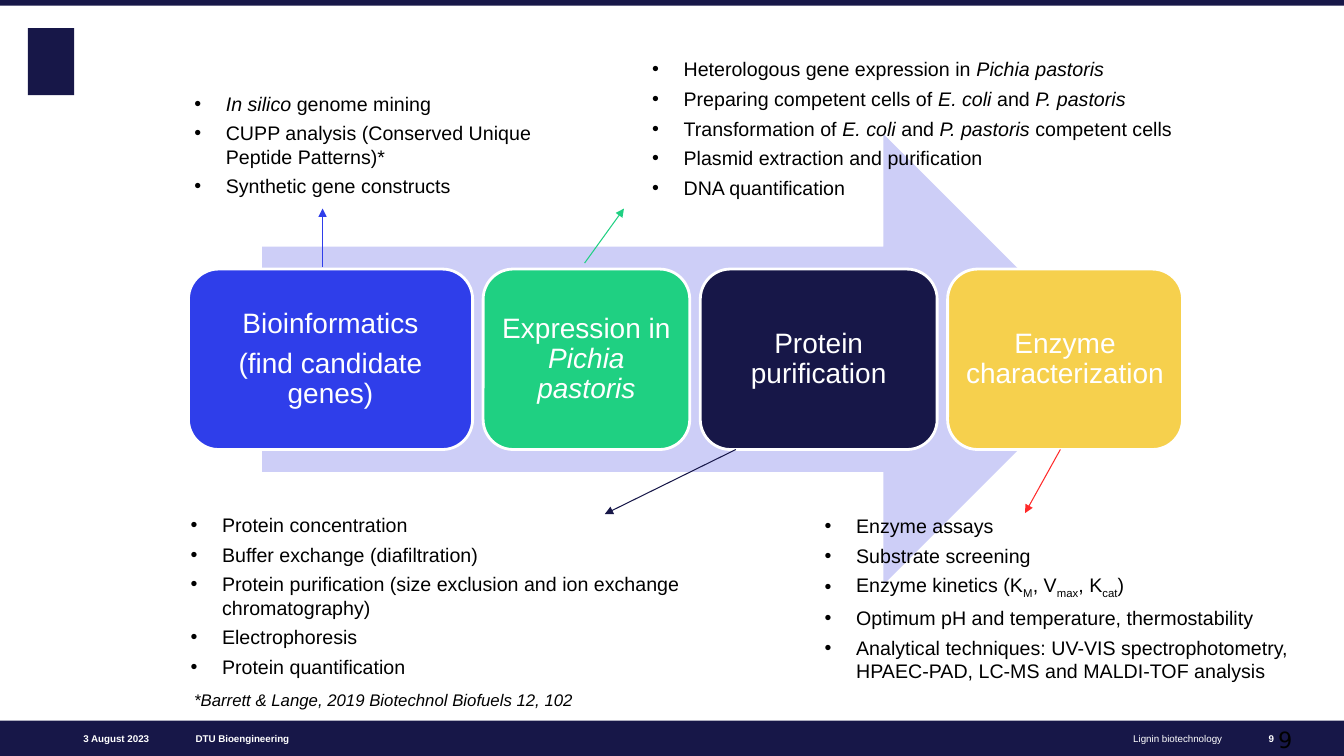
from lxml import etree
from pptx import Presentation
from pptx.dml.color import RGBColor
from pptx.enum import shapes, text
from pptx.oxml import ns
from pptx.util import Pt

NAVY, BLUE, GREEN, YELLOW = "171748", "2F3EEA", "1FD082", "F6D04D"
LEFT, CENTER, RIGHT = text.PP_ALIGN.LEFT, text.PP_ALIGN.CENTER, text.PP_ALIGN.RIGHT


def paint(fmt, color):
    if hasattr(fmt, "solid"):
        fmt.solid()
        fmt = fmt.fore_color
    elif hasattr(fmt, "color"):
        fmt = fmt.color
    fmt.rgb = RGBColor.from_string(color)


def write(p, content, size, color, font="Arial", bold=False, accent="italic"):
    for i, part in enumerate(content.split("|")):
        if not part:
            continue
        r = p.add_run()
        r.text = part
        r.font.name, r.font.size, r.font.bold = font, Pt(size), bold
        paint(r.font, color)
        if i % 2 and accent == "italic":
            r.font.italic = True
        elif i % 2:
            r.font._element.set("baseline", "-25000")


prs = Presentation()
prs.slide_width, prs.slide_height = Pt(960), Pt(540)
s = prs.slides.add_slide(prs.slide_layouts.get_by_name("Comparison"))
title = s.shapes.title._element
title.getparent().remove(title)

blocks = [
    ("RECTANGLE", 20, 20, 33, 48, NAVY),
    ("RECTANGLE", 0, 514.8, 960, 25.2, NAVY),
    ("RECTANGLE", 0, 0, 960, 4, NAVY),
    ("RIGHT_ARROW", 187.2, 95.8, 604.8, 321.8, "CDCEF7"),
]
for kind, x, y, w, h, color in blocks:
    sp = s.shapes.add_shape(shapes.MSO_SHAPE[kind], Pt(x), Pt(y), Pt(w), Pt(h))
    sp.shadow.inherit = False
    paint(sp.fill, color)
    sp.line.fill.background()

labels = [
    ("3 August 2023", 19.4, 514.8, 87.1, 25.2, RIGHT, 7, "FFFFFF", "Arial", True),
    ("DTU Bioengineering", 139.7, 514.8, 267.8, 25.2, LEFT, 7, "FFFFFF", "Arial", True),
    ("Lignin biotechnology", 440, 514.8, 432.9, 25.2, RIGHT, 7, "FFFFFF", "Arial", False),
    ("9", 880, 514.8, 30, 25.2, RIGHT, 7, "FFFFFF", "Arial", True),
    ("9", 913, 518.4, 26, 20, LEFT, 16, "000000", "DejaVu Sans", False),
    ("|*Barrett & Lange, 2019 Biotechnol Biofuels 12, 102", 138.6, 492.8, 290, 14.4,
     LEFT, 12, "000000", "Arial", False),
]
for content, x, y, w, h, align, size, color, font, bold in labels:
    tf = s.shapes.add_textbox(Pt(x), Pt(y), Pt(w), Pt(h)).text_frame
    tf.word_wrap = True
    tf.margin_left = tf.margin_right = tf.margin_top = tf.margin_bottom = 0
    tf.vertical_anchor = text.MSO_ANCHOR.MIDDLE if size == 7 else text.MSO_ANCHOR.TOP
    p = tf.paragraphs[0]
    p.alignment = align
    write(p, content, size, color, font, bold)

steps = [
    (203, BLUE, ["Bioinformatics", "(find candidate genes)"]),
    (147.6, GREEN, ["Expression in |Pichia pastoris"]),
    (169.2, NAVY, ["Protein purification"]),
    (167.8, YELLOW, ["Enzyme characterization"]),
]
x = 134.6
for w, color, lines in steps:
    sp = s.shapes.add_shape(shapes.MSO_SHAPE.ROUNDED_RECTANGLE, Pt(x), Pt(192.2), Pt(w), Pt(128.9))
    sp.shadow.inherit = False
    paint(sp.fill, color)
    paint(sp.line, "FFFFFF")
    sp.line.width = Pt(2)
    tf = sp.text_frame
    tf.word_wrap = True
    tf.vertical_anchor = text.MSO_ANCHOR.MIDDLE
    tf.margin_left = tf.margin_right = tf.margin_top = tf.margin_bottom = Pt(5.5)
    for i, line in enumerate(lines):
        p = tf.add_paragraph() if i else tf.paragraphs[0]
        p.alignment, p.line_spacing, p.space_after = CENTER, 0.9, Pt(7)
        write(p, line, 20, "FFFFFF")
    x += w + 7.5

lists = [
    (138.8, 65.5, 262, 75.6, "italic", [
        "|In silico |genome mining",
        "CUPP analysis (Conserved Unique Peptide Patterns)*",
        "Synthetic gene constructs"]),
    (465.8, 41, 398.2, 100.8, "italic", [
        "Heterologous gene expression in |Pichia pastoris",
        "Preparing competent cells of |E. coli |and |P. pastoris",
        "Transformation of |E. coli |and |P. pastoris |competent cells",
        "Plasmid extraction and purification",
        "DNA quantification"]),
    (136.1, 366.5, 354.2, 118, "italic", [
        "Protein concentration",
        "Buffer exchange (diafiltration)",
        "Protein purification (size exclusion and ion exchange chromatography)",
        "Electrophoresis",
        "Protein quantification"]),
    (589, 367.2, 337.7, 118, "subscript", [
        "Enzyme assays",
        "Substrate screening",
        "Enzyme kinetics (K|M|, V|max|, K|cat|)",
        "Optimum pH and temperature, thermostability",
        "Analytical techniques: UV-VIS spectrophotometry, HPAEC-PAD, LC-MS and MALDI-TOF analysis"]),
]
for sp, (x, y, w, h, accent, items) in zip(list(s.placeholders), lists):
    s.shapes._spTree.append(sp._element)
    sp.left, sp.top, sp.width, sp.height = Pt(x), Pt(y), Pt(w), Pt(h)
    tf = sp.text_frame
    tf.word_wrap = True
    tf.auto_size = text.MSO_AUTO_SIZE.NONE
    tf.vertical_anchor = text.MSO_ANCHOR.TOP
    tf.margin_left = tf.margin_right = tf.margin_top = tf.margin_bottom = 0
    for i, item in enumerate(items):
        p = tf.add_paragraph() if i else tf.paragraphs[0]
        pPr = p._p.get_or_add_pPr()
        pPr.set("marL", str(Pt(22.5)))
        pPr.set("indent", str(-Pt(22.5)))
        etree.SubElement(pPr, ns.qn("a:buFont")).set("typeface", "Arial")
        etree.SubElement(pPr, ns.qn("a:buChar")).set("char", "•")
        p.space_before = Pt(4.3 if i else 0)
        write(p, item, 14, "000000", accent=accent)

arrows = [
    (230.4, 190.8, 230.4, 149, BLUE),
    (417.6, 187.9, 445.7, 149, GREEN),
    (525.6, 321.1, 432, 367.2, NAVY),
    (757.4, 321.1, 732.2, 366.5, "FF2929"),
]
for x1, y1, x2, y2, color in arrows:
    c = s.shapes.add_connector(shapes.MSO_CONNECTOR.STRAIGHT, Pt(x1), Pt(y1), Pt(x2), Pt(y2))
    paint(c.line, color)
    c.line.width = Pt(0.75)
    spPr = c._element.spPr
    etree.SubElement(spPr.find(ns.qn("a:ln")), ns.qn("a:tailEnd")).set("type", "triangle")
    etree.SubElement(spPr, ns.qn("a:effectLst"))

prs.save("out.pptx")
